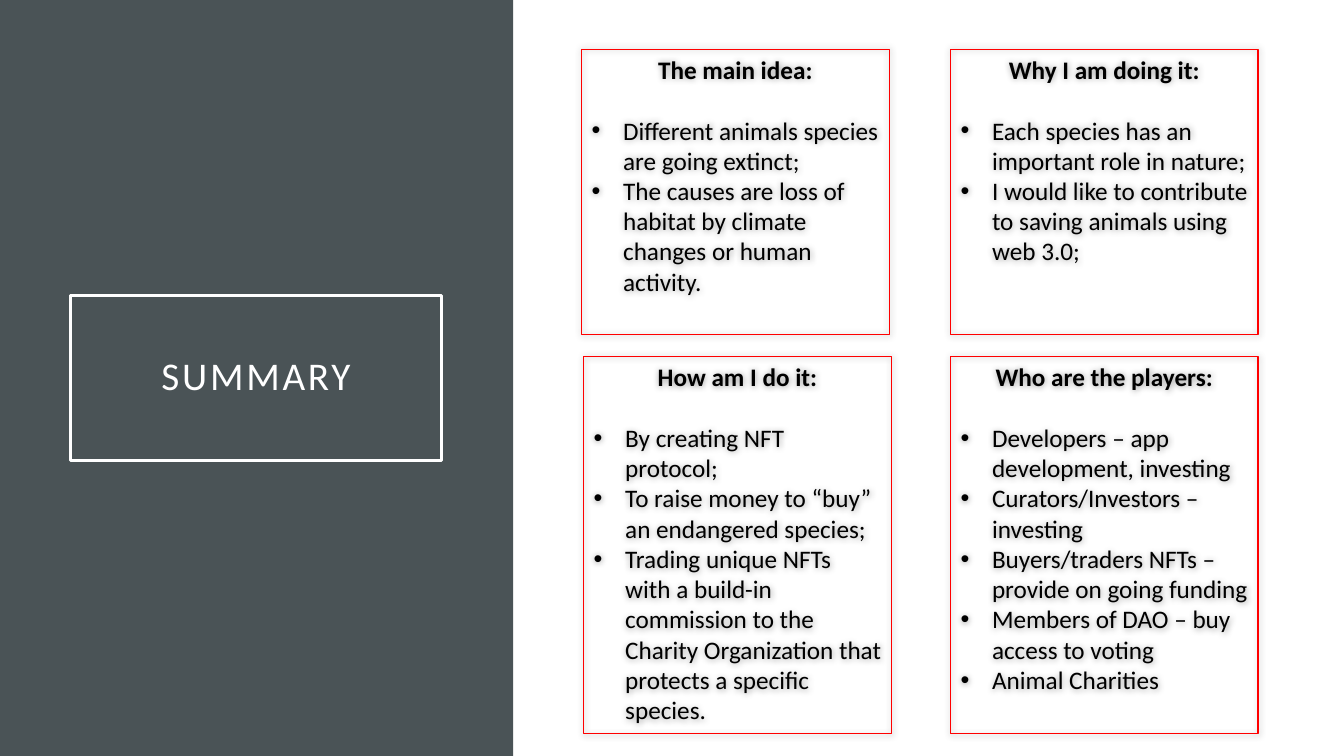
from dataclasses import dataclass

from lxml import etree
from pptx import Presentation
from pptx.dml.color import RGBColor
from pptx.enum.shapes import MSO_SHAPE
from pptx.enum.text import MSO_ANCHOR, MSO_AUTO_SIZE, PP_ALIGN
from pptx.oxml.ns import qn
from pptx.util import Pt

RECTANGLE = MSO_SHAPE.RECTANGLE
CENTER = PP_ALIGN.CENTER
LEFT = PP_ALIGN.LEFT
MIDDLE = MSO_ANCHOR.MIDDLE
NO_AUTOFIT = MSO_AUTO_SIZE.NONE
TITLE_ONLY = 5

TITLE = "SUMMARY"
# (column, row, heading, points)
CARDS = [
    (0, 0, "The main idea:", [
        "Different animals species are going extinct;",
        "The causes are loss of habitat by climate changes or human activity.",
    ]),
    (1, 0, "Why I am doing it:", [
        "Each species has an important role in nature;",
        "I would like to contribute to saving animals using web 3.0;",
    ]),
    (0, 1, "How am I do it:", [
        "By creating NFT protocol;",
        "To raise money to “buy” an endangered species;",
        "Trading unique NFTs with a build-in commission to the Charity "
        "Organization that protects a specific species.",
    ]),
    (1, 1, "Who are the players:", [
        "Developers – app development, investing",
        "Curators/Investors – investing",
        "Buyers/traders NFTs – provide on going funding",
        "Members of DAO – buy access to voting",
        "Animal Charities",
    ]),
]


@dataclass(frozen=True)
class Theme:
    font: str = "Calibri"
    panel: RGBColor = RGBColor(0x4A, 0x53, 0x56)
    light: RGBColor = RGBColor(0xFF, 0xFF, 0xFF)
    text: RGBColor = RGBColor(0, 0, 0)
    border: RGBColor = RGBColor(0xFF, 0, 0)
    title_size: int = 28
    text_size: int = 18


THEME = Theme()

PAGE_WIDTH, PAGE_HEIGHT = 960, 540
PANEL_WIDTH = 366.5
TITLE_FRAME = (50.4, 211, 265, 118)
TITLE_INSET = 14.4
COLUMN_LEFTS = (415.5, 679)
ROWS = ((35.3, 203.8), (254.9, 269.3))  # top, height
CARD_WIDTH = 219.6
LOWER_LEFT_SHIFT = 1.5
HEADING_GAP = 21.6
BULLET_INDENT = 22.5


def set_font(font, size, color, bold=False):
    font.name = THEME.font
    font.size = Pt(size)
    font.color.rgb = color
    font.bold = bold


def add_glow_shadow(shape):
    """Soft black shadow spread evenly around the shape."""
    effects = etree.SubElement(shape.element.spPr, qn("a:effectLst"))
    shadow = etree.SubElement(effects, qn("a:outerShdw"), blurRad=str(Pt(5)),
                              dist="0", dir="0", algn="ctr", rotWithShape="0")
    color = etree.SubElement(shadow, qn("a:srgbClr"), val=str(THEME.text))
    etree.SubElement(color, qn("a:alpha"), val="40000")


def add_bullet(para):
    properties = para._p.get_or_add_pPr()
    properties.set("marL", str(Pt(BULLET_INDENT)))
    properties.set("indent", str(-Pt(BULLET_INDENT)))
    etree.SubElement(properties, qn("a:buFont"), typeface="Arial")
    etree.SubElement(properties, qn("a:buChar"), char="•")


def add_title(page):
    panel = page.shapes.add_shape(RECTANGLE, 0, 0, Pt(PANEL_WIDTH), Pt(PAGE_HEIGHT))
    panel.shadow.inherit = False
    panel.fill.solid()
    panel.fill.fore_color.rgb = THEME.panel
    panel.line.fill.background()

    title = page.shapes.title
    title.element.addprevious(panel.element)
    title.left, title.top, title.width, title.height = map(Pt, TITLE_FRAME)
    title.line.color.rgb = THEME.light
    title.line.width = Pt(2.5)
    frame = title.text_frame
    frame.text = TITLE
    frame.auto_size = NO_AUTOFIT
    frame.vertical_anchor = MIDDLE
    frame.margin_left = frame.margin_right = Pt(TITLE_INSET)
    frame.margin_top = frame.margin_bottom = Pt(TITLE_INSET)
    para = frame.paragraphs[0]
    para.alignment = CENTER
    para.line_spacing = 0.9
    set_font(para.font, THEME.title_size, THEME.light)
    para.runs[0].font._element.set("spc", "200")


def add_card(page, column, row, heading, points):
    top, height = ROWS[row]
    left = COLUMN_LEFTS[column]
    if (column, row) == (0, 1):
        left += LOWER_LEFT_SHIFT
    card = page.shapes.add_textbox(Pt(left), Pt(top), Pt(CARD_WIDTH), Pt(height))
    card.line.color.rgb = THEME.border
    card.line.width = Pt(0.75)
    add_glow_shadow(card)

    frame = card.text_frame
    frame.word_wrap = True
    frame.auto_size = NO_AUTOFIT
    para = frame.paragraphs[0]
    para.text = heading
    para.alignment = CENTER
    para.space_after = Pt(HEADING_GAP)
    set_font(para.font, THEME.text_size, THEME.text, bold=True)
    for point in points:
        para = frame.add_paragraph()
        para.text = point
        para.alignment = LEFT
        add_bullet(para)
        set_font(para.font, THEME.text_size, THEME.text)


def main():
    deck = Presentation()
    deck.slide_width, deck.slide_height = Pt(PAGE_WIDTH), Pt(PAGE_HEIGHT)
    page = deck.slides.add_slide(deck.slide_layouts[TITLE_ONLY])
    add_title(page)
    for card in CARDS:
        add_card(page, *card)
    deck.save("out.pptx")


if __name__ == "__main__":
    main()
